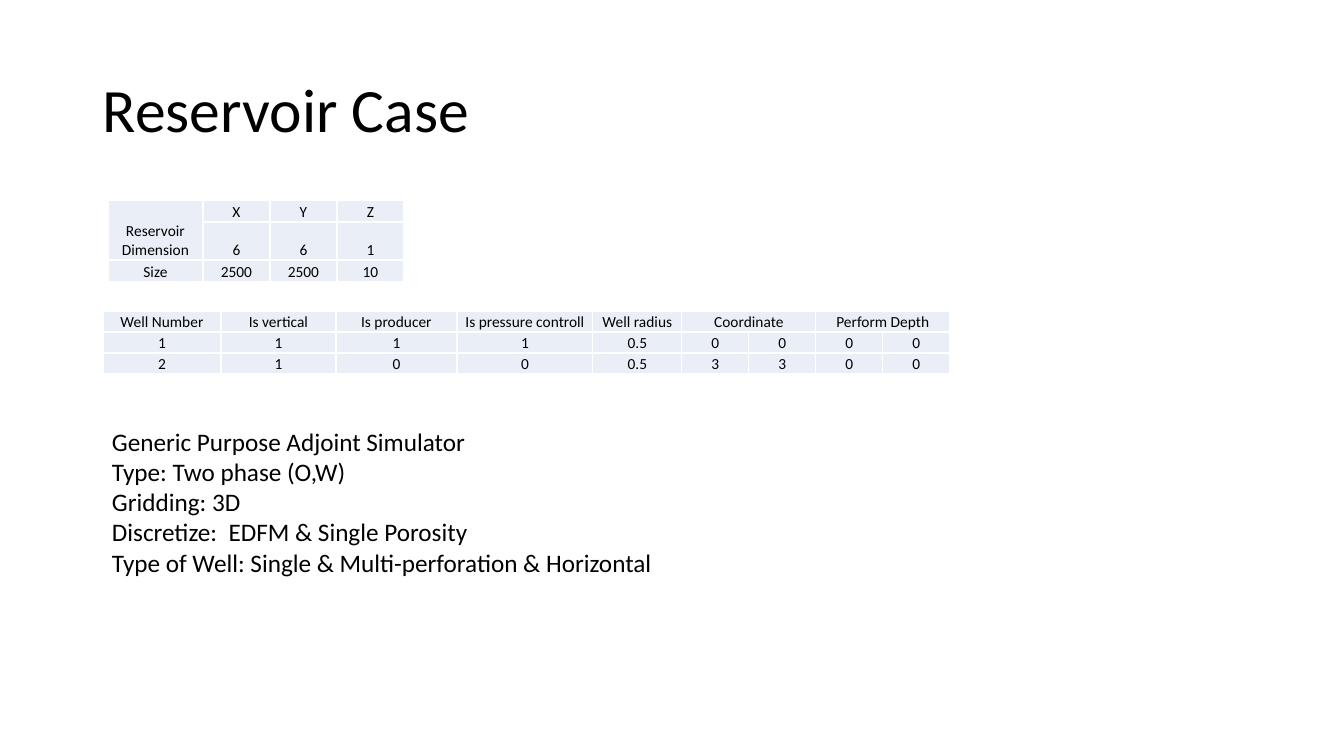
import pptx
import pptx.util
import pptx.dml.color
import pptx.enum.text
import pptx.oxml
import pptx.oxml.ns

BLACK = pptx.dml.color.RGBColor(0x00, 0x00, 0x00)
PALE_BLUE = pptx.dml.color.RGBColor(0xEA, 0xEF, 0xF7)
WHITE = pptx.dml.color.RGBColor(0xFF, 0xFF, 0xFF)
FONT = "Calibri"
EMU_PER_PX = 914400 / 100.8

CENTER = pptx.enum.text.PP_ALIGN.CENTER
LEFT = pptx.enum.text.PP_ALIGN.LEFT
ANCHOR = pptx.enum.text.MSO_ANCHOR

RESERVOIR_ROWS = [
    ["Reservoir Dimension", "X", "Y", "Z"],
    ["", "6", "6", "1"],
    ["Size", "2500", "2500", "10"],
]
WELL_ROWS = [
    ["Well Number", "Is vertical", "Is producer", "Is pressure controll",
     "Well radius", "Coordinate", "", "Perform Depth", ""],
    ["1", "1", "1", "1", "0.5", "0", "0", "0", "0"],
    ["2", "1", "0", "0", "0.5", "3", "3", "0", "0"],
]
SIMULATOR_FACTS = [
    "Generic Purpose Adjoint Simulator",
    "Type: Two phase (O,W)",
    "Gridding: 3D",
    "Discretize:  EDFM & Single Porosity",
    "Type of Well: Single & Multi-perforation & Horizontal",
]


def px(length):
    return pptx.util.Emu(round(length * EMU_PER_PX))


def write_text(frame, lines, size, align=LEFT, spacing=1.0, color=BLACK):
    """Fill a text frame with one paragraph per line."""
    for number, line in enumerate(lines):
        paragraph = frame.add_paragraph() if number else frame.paragraphs[0]
        paragraph.alignment = align
        paragraph.line_spacing = spacing
        run = paragraph.add_run()
        run.text = line
        run.font.name = FONT
        run.font.size = pptx.util.Pt(size)
        run.font.color.rgb = color


def add_text_box(slide, left, top, width, height, lines, anchor=ANCHOR.TOP, **text_format):
    frame = slide.shapes.add_textbox(px(left), px(top), px(width), px(height)).text_frame
    frame.word_wrap = True
    frame.vertical_anchor = anchor
    write_text(frame, lines, **text_format)


def set_borders(cell):
    """Give the cell a thin white line on all four sides."""
    properties = cell._tc.get_or_add_tcPr()
    for position, side in enumerate(("lnL", "lnR", "lnT", "lnB")):
        border = pptx.oxml.parse_xml(
            f'<a:{side} {pptx.oxml.ns.nsdecls("a")} w="{pptx.util.Pt(1)}">'
            f'<a:solidFill><a:srgbClr val="{WHITE}"/></a:solidFill></a:{side}>')
        properties.insert(position, border)


def format_cell(cell, text):
    cell.margin_left = cell.margin_right = cell.margin_top = px(1)
    cell.margin_bottom = 0
    cell.vertical_anchor = ANCHOR.BOTTOM
    cell.fill.solid()
    cell.fill.fore_color.rgb = PALE_BLUE
    set_borders(cell)
    write_text(cell.text_frame, [text] if text else [], size=11, align=CENTER)


def add_data_table(slide, left, top, widths, row_height, rows, merges):
    """Add a plain table; merges lists pairs of (row, column) corners."""
    table = slide.shapes.add_table(
        len(rows), len(widths), px(left), px(top),
        px(sum(widths)), px(row_height * len(rows))).table
    table.first_row = table.horz_banding = False
    for column, width in zip(table.columns, widths):
        column.width = px(width)
    for row_number, texts in enumerate(rows):
        table.rows[row_number].height = px(row_height)
        for column_number, text in enumerate(texts):
            format_cell(table.cell(row_number, column_number), text)
    for first, last in merges:
        table.cell(*first).merge(table.cell(*last))


def main():
    deck = pptx.Presentation()
    deck.slide_width, deck.slide_height = px(1344), px(756)
    slide = deck.slides.add_slide(deck.slide_layouts[6])

    add_text_box(slide, 93, 40, 1159, 146, ["Reservoir Case"],
                 anchor=ANCHOR.MIDDLE, size=44, spacing=0.9)
    add_data_table(slide, 103, 311, [118, 115, 121, 136, 89] + [67] * 4, 21,
                   WELL_ROWS, [((0, 5), (0, 6)), ((0, 7), (0, 8))])
    add_data_table(slide, 108, 200, [95] + [67] * 3, 22,
                   RESERVOIR_ROWS, [((0, 0), (1, 0))])
    add_text_box(slide, 102, 421, 603, 224, SIMULATOR_FACTS, size=18)

    deck.save("out.pptx")


if __name__ == "__main__":
    main()
